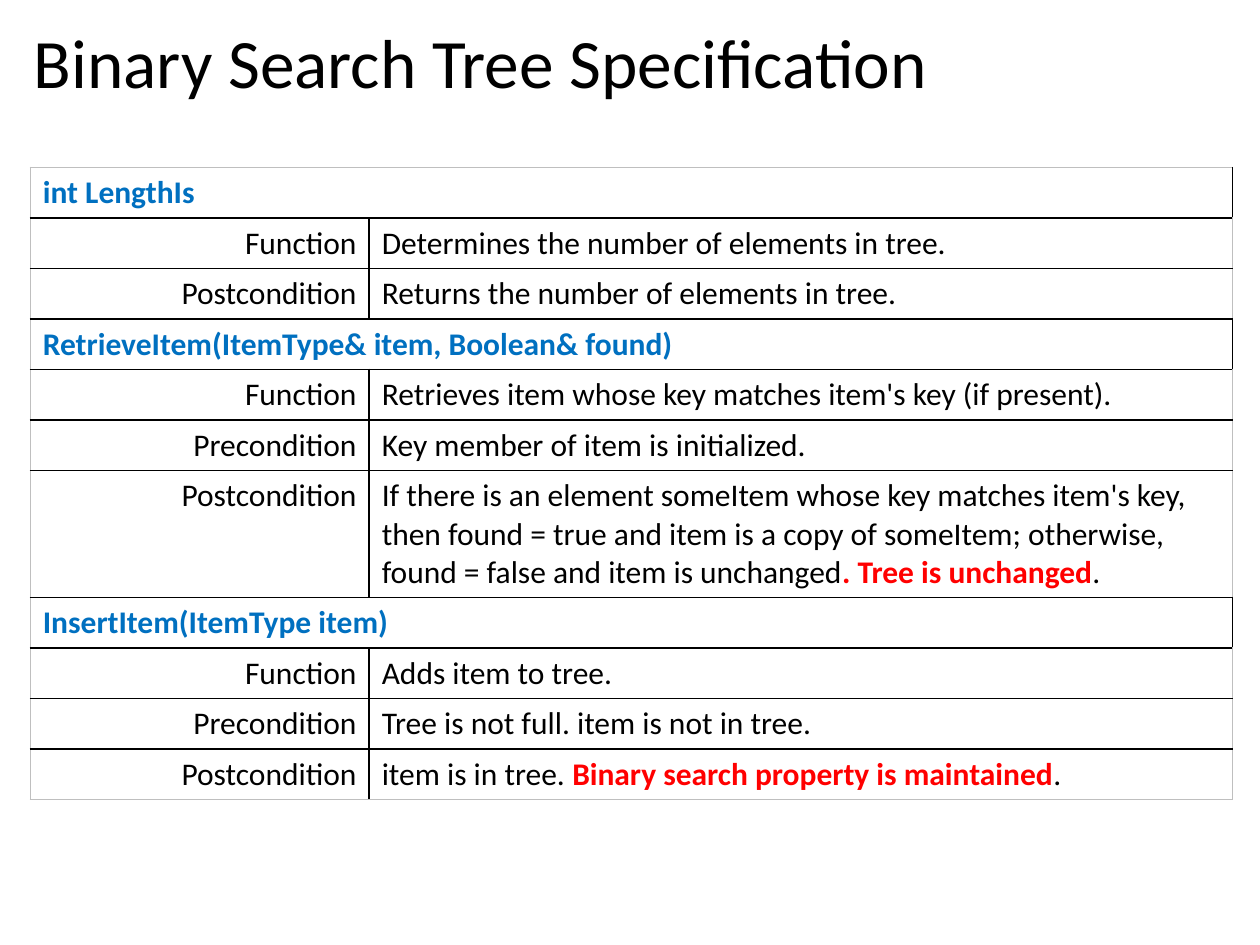
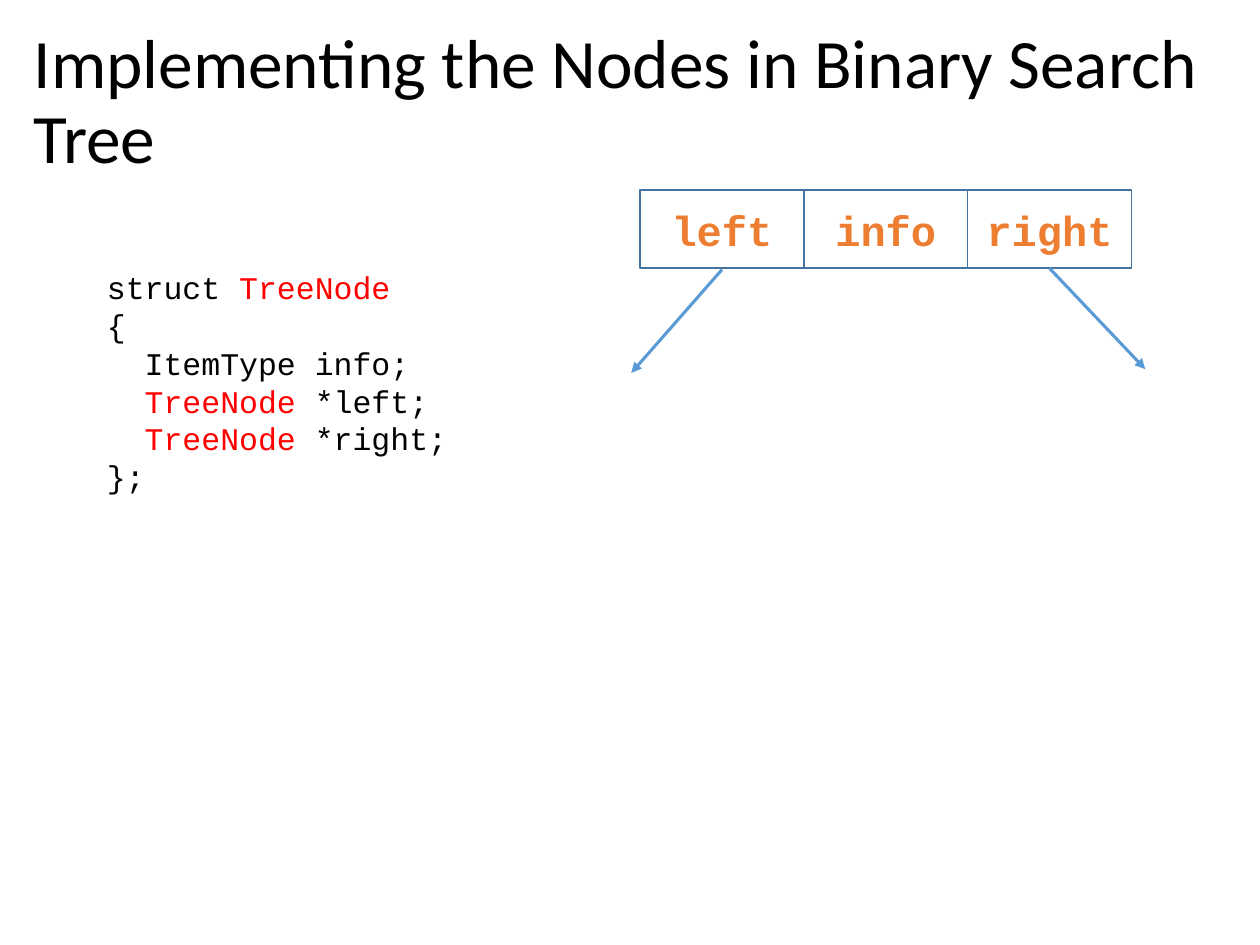
from lxml import etree
from pptx import Presentation
from pptx.dml.color import RGBColor
from pptx.enum.shapes import MSO_CONNECTOR, MSO_SHAPE
from pptx.enum.text import MSO_ANCHOR, PP_ALIGN
from pptx.oxml.ns import qn
from pptx.util import Pt

PX = 9144  # EMU per px, 100 px to the inch
BLACK, RED, BLUE, GREY = "000000", "FF0000", "0070C0", "BFBFBF"
ORANGE, BOX_LINE, ARROW = "ED7D31", "43739E", "5B9BD5"
BODY, CODE = "Calibri", "Courier New"
RECT, STRAIGHT = MSO_SHAPE.RECTANGLE, MSO_CONNECTOR.STRAIGHT
CENTER, RIGHT = PP_ALIGN.CENTER, PP_ALIGN.RIGHT
TOP, MIDDLE = MSO_ANCHOR.TOP, MSO_ANCHOR.MIDDLE


def rgb(value):
    return RGBColor.from_string(value)


def write(p, text, font, size, color=BLACK, bold=False, mark_bold=False):
    """Fill a paragraph; every second part between bars is red."""
    p.font.name, p.font.size = font, Pt(size)
    for i, part in enumerate(text.split("|")):
        if part:
            r = p.add_run()
            r.text = part
            r.font.color.rgb = rgb(RED if i % 2 else color)
            r.font.bold = mark_bold if i % 2 else bold


prs = Presentation()
prs.slide_width, prs.slide_height = 1000 * PX, 750 * PX

# Slides and their titles
slides = []
for title in ("Binary Search Tree Specification",
              "Implementing the Nodes in Binary Search Tree"):
    s = prs.slides.add_slide(prs.slide_layouts[6])
    tf = s.shapes.add_textbox(17 * PX, 18 * PX, 962 * PX, 74 * PX).text_frame
    tf.word_wrap, tf.vertical_anchor = True, TOP
    p = tf.paragraphs[0]
    p.line_spacing = 0.9
    write(p, title, BODY, 39.6)
    slides.append(s)
spec_slide, node_slide = slides

# Specification table: a row with one entry is an operation heading
rows = [
    ("int LengthIs",),
    ("Function", "Determines the number of elements in tree."),
    ("Postcondition", "Returns the number of elements in tree."),
    ("RetrieveItem(ItemType& item, Boolean& found)",),
    ("Function", "Retrieves item whose key matches item's key (if present)."),
    ("Precondition", "Key member of item is initialized."),
    ("Postcondition", "If there is an element someItem whose key matches item's key, "
     "then found = true and item is a copy of someItem; otherwise, "
     "found = false and item is unchanged|. Tree is unchanged|."),
    ("InsertItem(ItemType item)",),
    ("Function", "Adds item to tree."),
    ("Precondition", "Tree is not full. item is not in tree."),
    ("Postcondition", "item is in tree. |Binary search property is maintained|."),
]
ROW_H, LONG_ROW, LONG_H = 40, 6, 101
table = spec_slide.shapes.add_table(
    len(rows), 2, 24 * PX, 133 * PX, 954 * PX, len(rows) * ROW_H * PX).table
table.first_row = table.horz_banding = False
table.columns[0].width, table.columns[1].width = 269 * PX, 685 * PX

last = len(rows) - 1
for i, row in enumerate(rows):
    table.rows[i].height = (LONG_H if i == LONG_ROW else ROW_H) * PX
    if len(row) == 1:
        table.cell(i, 0).merge(table.cell(i, 1))
        write(table.cell(i, 0).text_frame.paragraphs[0], row[0], BODY, 18, BLUE, True)
    else:
        for j, text in enumerate(row):
            p = table.cell(i, j).text_frame.paragraphs[0]
            if j == 0:
                p.alignment = RIGHT
            write(p, text, BODY, 18, mark_bold=True)
    for j in range(2):
        cell = table.cell(i, j)
        tcPr = cell._tc.get_or_add_tcPr()
        # Grey frame, black inner lines
        outer = {"lnL": j == 0, "lnR": j == 1, "lnT": i == 0, "lnB": i == last}
        for side, is_outer in outer.items():
            ln = etree.SubElement(tcPr, qn("a:" + side), w=str(Pt(1)))
            fill = etree.SubElement(ln, qn("a:solidFill"))
            etree.SubElement(fill, qn("a:srgbClr"), val=GREY if is_outer else BLACK)
        cell.fill.background()

# Node diagram: three equal fields
BOX_W = 130
for i, field in enumerate(("left", "info", "right")):
    sp = node_slide.shapes.add_shape(
        RECT, (508 + i * BOX_W) * PX, 151 * PX, BOX_W * PX, 62 * PX)
    sp.shadow.inherit = False
    sp.fill.background()
    sp.line.color.rgb, sp.line.width = rgb(BOX_LINE), Pt(1)
    tf = sp.text_frame
    tf.vertical_anchor = MIDDLE
    p = tf.paragraphs[0]
    p.alignment = CENTER
    write(p, field, CODE, 24, ORANGE, True)

# Child pointers
for x1, y1, x2, y2 in ((573, 214, 501, 296), (833, 213, 909, 293)):
    arrow = node_slide.shapes.add_connector(STRAIGHT, x1 * PX, y1 * PX, x2 * PX, y2 * PX)
    arrow.line.color.rgb, arrow.line.width = rgb(ARROW), Pt(1.75)
    etree.SubElement(arrow.line._get_or_add_ln(), qn("a:tailEnd"), type="triangle")
    etree.SubElement(arrow._element.spPr, qn("a:effectLst"))

# Node declaration
code = """struct |TreeNode|
{
  ItemType info;
  |TreeNode| *left;
  |TreeNode| *right;
};"""
tf = node_slide.shapes.add_textbox(75 * PX, 208 * PX, 303 * PX, 192 * PX).text_frame
tf.word_wrap = True
for i, line in enumerate(code.split("\n")):
    p = tf.add_paragraph() if i else tf.paragraphs[0]
    write(p, line, CODE, 18)

prs.save("out.pptx")
